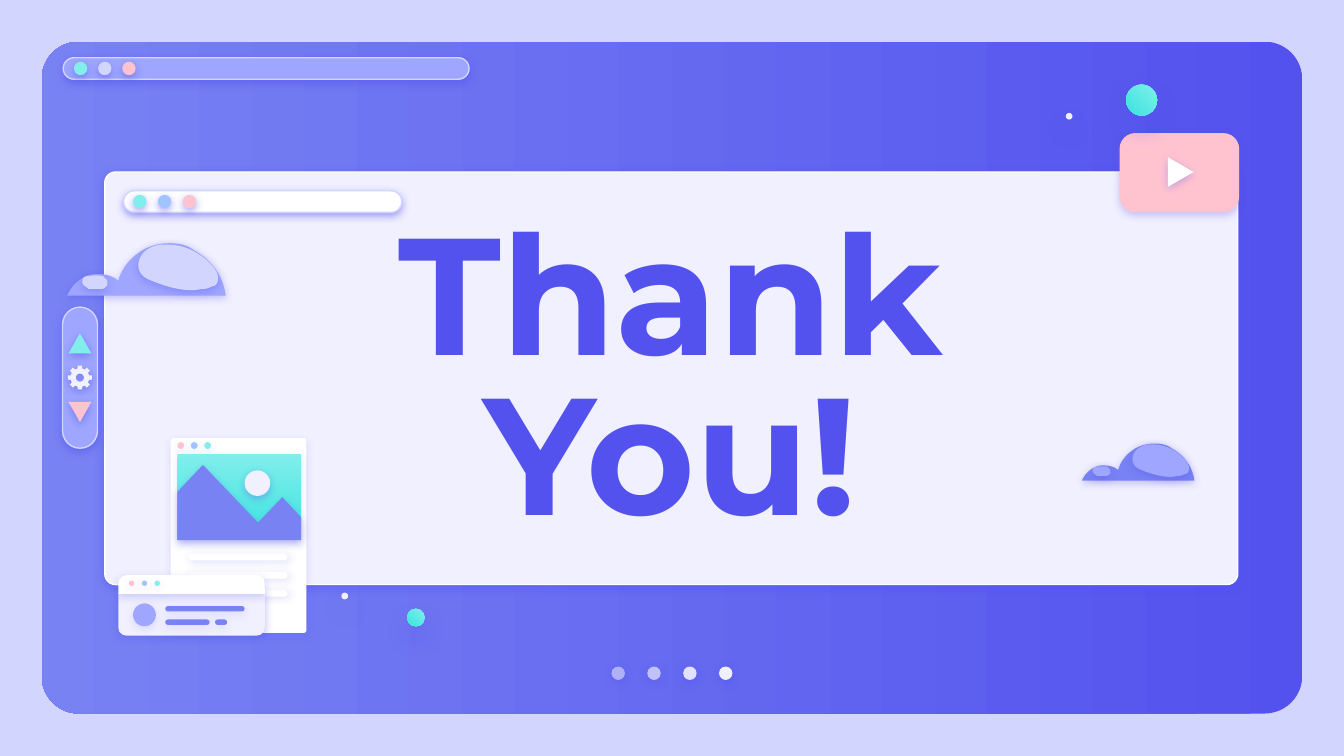
from math import cos, pi, sin

from lxml import etree
from pptx import Presentation
from pptx.dml.color import RGBColor
from pptx.enum.shapes import MSO_SHAPE
from pptx.enum.text import MSO_ANCHOR, PP_ALIGN
from pptx.oxml.ns import qn
from pptx.util import Inches, Pt

OVAL, ROUND = MSO_SHAPE.OVAL, MSO_SHAPE.ROUNDED_RECTANGLE
TRIANGLE, TWO_ROUND = MSO_SHAPE.ISOSCELES_TRIANGLE, MSO_SHAPE.ROUND_2_SAME_RECTANGLE

INDIGO, BLUE, PERIWINKLE, LILAC = "5352EE", "7882F3", "9EA6FF", "D2D6FF"
SKY, TEAL, PINK, PALE, WHITE = "A1C3FF", "81EEEB", "FFC3D0", "F1F0FF", "FFFFFF"
TEAL_DEEP = "3AE4DF"

# Shadows: opacity %, blur pt, distance pt, direction in degrees
STRONG, MEDIUM, SOFT = (50, 4.5, 1.5, 90), (34, 4.5, 1.5, 90), (14, 4.5, 1.5, 90)
HEADER, CLOUD, SIDE = (24, 4.5, 1.5, 90), (31, 4.5, 1.5, 90), (18, 4.5, 1.5, 39)
FLOATING = (38, 12.4, 6.8, 90)

TITLE = ["Thank", "You!"]

# Cloud parts: start point, then cubic segments or single line ends
CLOUD_HILL = [(1.26, 1.81), (1.17, 1.81, 1.08, 1.84, 1.02, 1.89),
              (0.96, 1.93, 0.9, 2.01, 0.88, 2.09), (0.84, 2.05, 0.78, 2.04, 0.73, 2.04),
              (0.71, 2.04, 0.68, 2.04, 0.66, 2.05), (0.59, 2.07, 0.53, 2.13, 0.5, 2.2),
              (1.68, 2.2), (1.66, 2.05, 1.57, 1.93, 1.44, 1.86),
              (1.39, 1.82, 1.32, 1.81, 1.26, 1.81)]
CLOUD_GLOW = [(1.25, 1.82), (1.23, 1.82, 1.21, 1.82, 1.19, 1.82),
              (1.14, 1.83, 1.09, 1.85, 1.06, 1.89), (1.03, 1.93, 1.02, 1.98, 1.04, 2.02),
              (1.06, 2.06, 1.1, 2.08, 1.13, 2.09), (1.23, 2.13, 1.33, 2.16, 1.43, 2.16),
              (1.46, 2.16, 1.49, 2.15, 1.51, 2.15), (1.54, 2.15, 1.56, 2.14, 1.58, 2.13),
              (1.6, 2.13, 1.62, 2.11, 1.62, 2.09), (1.63, 2.05, 1.61, 2.02, 1.59, 1.99),
              (1.51, 1.89, 1.38, 1.82, 1.25, 1.82)]
CLOUD_SPOT = [(0.71, 2.05), (0.68, 2.05, 0.63, 2.05, 0.62, 2.07),
              (0.61, 2.08, 0.61, 2.1, 0.62, 2.12), (0.63, 2.13, 0.65, 2.14, 0.66, 2.15),
              (0.68, 2.15, 0.74, 2.15, 0.76, 2.15), (0.78, 2.15, 0.79, 2.13, 0.8, 2.12),
              (0.8, 2.1, 0.8, 2.08, 0.78, 2.07), (0.77, 2.05, 0.75, 2.05, 0.71, 2.05)]
MOUNTAINS = [(1.51, 3.46), (1.32, 3.66), (1.32, 4.02), (2.24, 4.02), (2.24, 3.85),
             (2.1, 3.7), (1.92, 3.89)]
PLAY = [(8.69, 1.17), (8.69, 1.39), (8.88, 1.28)]

prs = Presentation()
prs.slide_width = Inches(10)
prs.slide_height = prs.slide_width * 9 // 16
s = prs.slides.add_slide(prs.slide_layouts[6])


def rgb(color):
    return RGBColor.from_string(color)


def style(sp, fill, line=None, shadow=None, angle=0, opacity=100):
    """Fill with a colour, or with a pair of colours as a gradient (clockwise angle)."""
    if isinstance(fill, tuple):
        sp.fill.gradient()
        sp.fill.gradient_angle = (360 - angle) % 360
        for stop, color in zip(sp.fill.gradient_stops, fill):
            stop.color.rgb = rgb(color)
    else:
        sp.fill.solid()
        sp.fill.fore_color.rgb = rgb(fill)
        if opacity < 100:
            color = sp._element.spPr.find(".//" + qn("a:srgbClr"))
            etree.SubElement(color, qn("a:alpha"), val=str(opacity * 1000))
    if line:
        sp.line.color.rgb = rgb(line)
        sp.line.width = Pt(0.75)
    else:
        sp.line.fill.background()
    sp.shadow.inherit = False
    if shadow:
        alpha, blur, dist, direction = shadow
        effects = sp._element.spPr.find(qn("a:effectLst"))
        outer = etree.SubElement(effects, qn("a:outerShdw"), blurRad=str(Pt(blur)),
                                 dist=str(Pt(dist)), dir=str(direction * 60000),
                                 algn="bl", rotWithShape="0")
        color = etree.SubElement(outer, qn("a:srgbClr"), val=INDIGO)
        etree.SubElement(color, qn("a:alpha"), val=str(alpha * 1000))


def add(kind, x, y, w, h, fill, adj=(), rot=0, **look):
    sp = s.shapes.add_shape(kind, Inches(x), Inches(y), Inches(w), Inches(h))
    for i, value in enumerate(adj):
        sp.adjustments[i] = value
    sp.rotation = rot
    style(sp, fill, **look)


def dots(x, y, size, step, colors, shadow):
    for i, color in enumerate(colors):
        add(OVAL, x + i * step, y, size, size, color, shadow=shadow)


def outline(contours, fill, **look):
    """Draw closed contours given as lists of points in inches."""
    emu = [[(Inches(x), Inches(y)) for x, y in points] for points in contours]
    fb = s.shapes.build_freeform(*emu[0][0])
    for i, points in enumerate(emu):
        if i:
            fb.move_to(*points[0])
        fb.add_line_segments(points[1:], close=True)
    style(fb.convert_to_shape(), fill, **look)


def flatten(path, steps=10):
    """Turn cubic segments into short straight ones."""
    points = [path[0]]
    for seg in path[1:]:
        if len(seg) == 2:
            points.append(seg)
            continue
        x0, y0 = points[-1]
        x1, y1, x2, y2, x3, y3 = seg
        for i in range(1, steps + 1):
            t = i / steps
            a, b, c, d = (1 - t) ** 3, 3 * t * (1 - t) ** 2, 3 * t * t * (1 - t), t ** 3
            points.append((a * x0 + b * x1 + c * x2 + d * x3,
                           a * y0 + b * y1 + c * y2 + d * y3))
    return points


def cloud(left, top, scale, body, light):
    for path, color in ((CLOUD_HILL, body), (CLOUD_GLOW, light), (CLOUD_SPOT, light)):
        points = [(left + (x - 0.5) * scale, top + (y - 1.81) * scale)
                  for x, y in flatten(path)]
        outline([points], color, shadow=CLOUD)


def gear(cx, cy, outer, inner, hole, teeth=8):
    def polar(radius, angle):
        return cx + radius * cos(angle), cy + radius * sin(angle)

    rim = []
    for i in range(teeth):
        mid = 2 * pi * i / teeth
        rim += [polar(r, mid + a) for r, a in
                ((inner, -0.24), (outer, -0.18), (outer, 0.18), (inner, 0.24))]
    bore = [polar(hole, -2 * pi * i / 32) for i in range(32)]
    outline([rim, bore], PALE, shadow=(52, 4.5, 1.5, 90))


# Backdrop, top bar and page dots
s.background.fill.solid()
s.background.fill.fore_color.rgb = rgb(LILAC)
add(ROUND, 0.31, 0.31, 9.38, 5, (INDIGO, BLUE), adj=[0.28 / 5], angle=180)
add(ROUND, 0.47, 0.43, 3.02, 0.16, PERIWINKLE, adj=[0.5], line=LILAC, shadow=STRONG)
dots(0.55, 0.46, 0.1, 0.18, [TEAL, LILAC, PINK], STRONG)
for i, opacity in enumerate([54, 67, 90, 100]):
    add(OVAL, 4.55 + i * 0.8 / 3, 4.96, 0.1, 0.1, PALE, opacity=opacity, shadow=STRONG)

# Main panel and title
add(ROUND, 0.78, 1.28, 8.43, 3.07, PALE, adj=[0.08 / 3.07], line=WHITE, shadow=STRONG)
tf = s.shapes.add_textbox(Inches(1.64), Inches(1.5), Inches(6.7), Inches(2.77)).text_frame
tf.word_wrap = True
tf.vertical_anchor = MSO_ANCHOR.MIDDLE
tf.margin_left = tf.margin_right = tf.margin_top = tf.margin_bottom = Inches(0.1)
for i, word in enumerate(TITLE):
    p = tf.add_paragraph() if i else tf.paragraphs[0]
    p.alignment, p.line_spacing = PP_ALIGN.CENTER, 0.8
    r = p.add_run()
    r.text = word
    r.font.name, r.font.size, r.font.bold = "Montserrat", Pt(89), True
    r.font.color.rgb = rgb(INDIGO)

# Clouds, play button and floating balls
cloud(0.5, 1.81, 1, PERIWINKLE, LILAC)
add(ROUND, 8.33, 0.99, 0.89, 0.59, PINK, adj=[0.2], shadow=CLOUD)
outline([PLAY], WHITE, shadow=CLOUD)
cloud(8.05, 3.3, 0.71, BLUE, PERIWINKLE)
for x, y, size in ((8.38, 0.63, 0.23), (3.03, 4.53, 0.13)):
    add(OVAL, x, y, size, size, (TEAL, TEAL_DEEP), angle=135, shadow=FLOATING)
for x, y in ((7.93, 0.84), (2.54, 4.41)):
    add(OVAL, x, y, 0.05, 0.05, PALE, shadow=FLOATING)

# Picture page
add(ROUND, 1.27, 3.26, 1.01, 1.45, WHITE, adj=[0.02], shadow=SOFT)
for i in range(3):
    add(ROUND, 1.4, 4.12 + i * 0.27 / 2, 0.74, 0.05, WHITE, adj=[0.5], shadow=SIDE)
dots(1.32, 3.29, 0.05, 0.1, [PINK, SKY, TEAL], SOFT)
add(MSO_SHAPE.RECTANGLE, 1.32, 3.38, 0.92, 0.64, (TEAL, TEAL_DEEP), angle=90, shadow=SOFT)
outline([MOUNTAINS], BLUE, shadow=MEDIUM)
add(OVAL, 1.82, 3.5, 0.19, 0.19, PALE, shadow=MEDIUM)

# Profile window
add(TWO_ROUND, 0.88, 4.41, 1.09, 0.32, PALE, adj=[0, 0.19], shadow=MEDIUM)
add(TWO_ROUND, 0.88, 4.28, 1.09, 0.14, WHITE, adj=[0.43, 0], shadow=HEADER)
dots(0.96, 4.32, 0.04, 0.19 / 2, [PINK, SKY, TEAL], SOFT)
add(OVAL, 0.99, 4.49, 0.17, 0.17, PERIWINKLE, shadow=SOFT)
for x, y, w in ((1.23, 4.51, 0.59), (1.23, 4.61, 0.33), (1.6, 4.61, 0.09)):
    add(ROUND, x, y, w, 0.04, BLUE, adj=[0.5], shadow=SOFT)

# Panel bar and side controls
add(ROUND, 0.92, 1.42, 2.07, 0.16, WHITE, adj=[0.5], line=LILAC, shadow=STRONG)
dots(0.99, 1.45, 0.1, 0.37 / 2, [TEAL, SKY, PINK], STRONG)
add(ROUND, 0.07, 2.68, 1.05, 0.26, PERIWINKLE, adj=[0.5], rot=90, line=LILAC, shadow=STRONG)
add(TRIANGLE, 0.51, 2.48, 0.17, 0.15, TEAL, shadow=STRONG)
add(TRIANGLE, 0.51, 2.99, 0.17, 0.15, PINK, rot=180, shadow=STRONG)
gear(0.51 + 0.17 / 2, 2.81, 0.09, 0.07, 0.03)

prs.save("out.pptx")
